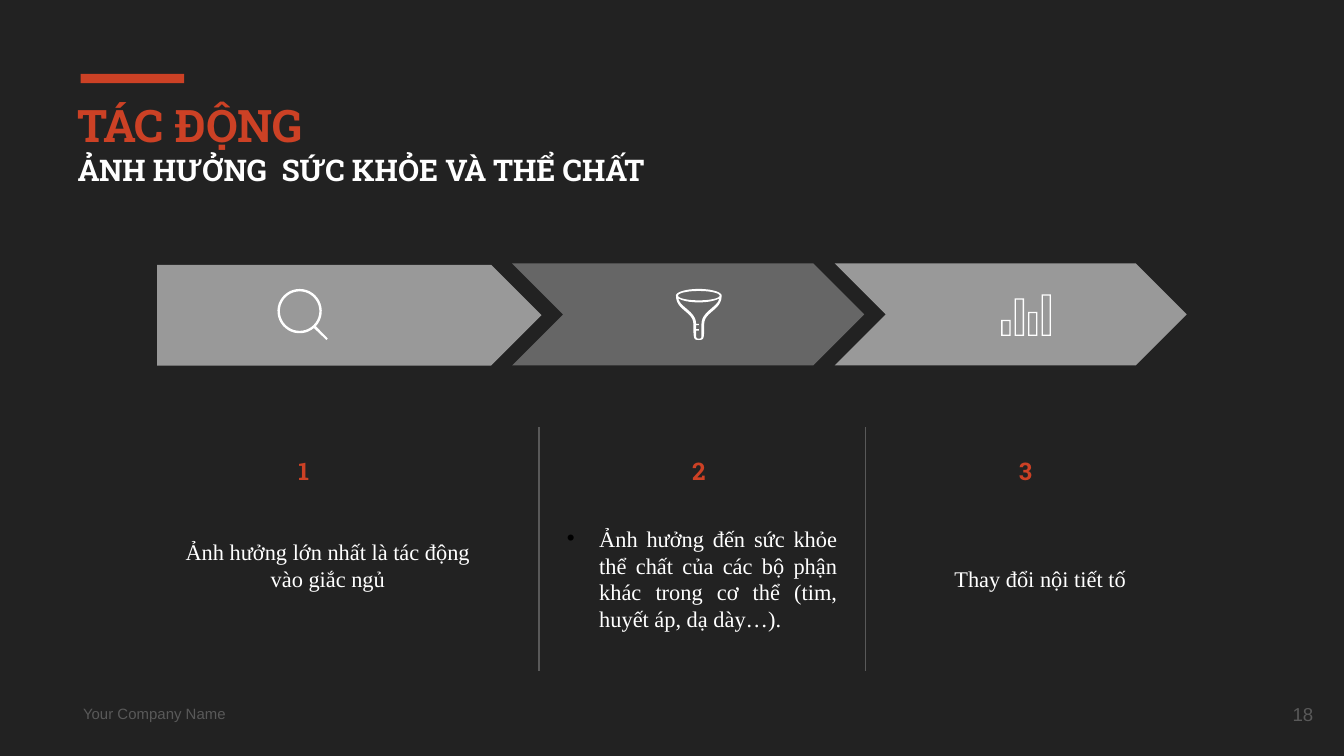
from math import cos, radians, sin

from lxml import etree
from pptx import Presentation
from pptx.dml.color import RGBColor
from pptx.enum.shapes import MSO_CONNECTOR as Connector, MSO_SHAPE as Shape
from pptx.enum.text import MSO_ANCHOR as Anchor, PP_ALIGN as Align
from pptx.oxml.ns import qn
from pptx.util import Inches, Pt

BACKGROUND, ACCENT, WHITE = "222222", "CC4125", "FFFFFF"
LIGHT_GRAY, MID_GRAY, DARK_GRAY = "999999", "666666", "595959"
HEADING_FONT, BODY_FONT, FOOTER_FONT = "Roboto Slab", "Times New Roman", "Arial"


def color(hex_code):
    return RGBColor.from_string(hex_code)


def paint(shape, fill):
    shape.shadow.inherit = False
    shape.fill.solid()
    shape.fill.fore_color.rgb = color(fill)
    shape.line.fill.background()


def style_run(run, size, font, fill, bold=False):
    run.font.size = Pt(size)
    run.font.name = font
    run.font.bold = bold
    run.font.color.rgb = color(fill)


def add_block(slide, shape_type, box, fill):
    shape = slide.shapes.add_shape(shape_type, *map(Inches, box))
    paint(shape, fill)


def add_frame(slide, box, anchor=Anchor.MIDDLE):
    frame = slide.shapes.add_textbox(*map(Inches, box)).text_frame
    frame.word_wrap = True
    frame.vertical_anchor = anchor
    frame.margin_left = frame.margin_right = Inches(0.1)
    frame.margin_top = frame.margin_bottom = Inches(0.1)
    return frame


def add_text(slide, box, text, size, font, fill, bold=False, align=Align.CENTER):
    frame = add_frame(slide, box)
    frame.text = text
    paragraph = frame.paragraphs[0]
    paragraph.alignment = align
    style_run(paragraph.runs[0], size, font, fill, bold)
    return frame


def add_bullet(paragraph, indent):
    properties = paragraph._p.get_or_add_pPr()
    properties.set("marL", str(Inches(indent)))
    properties.set("indent", str(-Inches(indent)))
    bullet_color = etree.SubElement(properties, qn("a:buClr"))
    etree.SubElement(bullet_color, qn("a:srgbClr")).set("val", "000000")
    etree.SubElement(properties, qn("a:buFont")).set("typeface", FOOTER_FONT)
    etree.SubElement(properties, qn("a:buChar")).set("char", "•")


def add_divider(slide, x, top, bottom):
    line = slide.shapes.add_connector(
        Connector.STRAIGHT, Inches(x), Inches(top), Inches(x), Inches(bottom))
    line.line.color.rgb = color(DARK_GRAY)
    line.line.width = Pt(0.75)
    etree.SubElement(line._element.spPr, qn("a:effectLst"))


def arc(center, radii, start=0, end=360, steps=40):
    angles = [radians(start + (end - start) * i / steps) for i in range(steps + 1)]
    return [(center[0] + radii[0] * cos(a), center[1] + radii[1] * sin(a)) for a in angles]


def bezier(p0, p1, p2, p3, steps=12):
    points = []
    for i in range(steps + 1):
        t = i / steps
        weights = ((1 - t) ** 3, 3 * t * (1 - t) ** 2, 3 * t * t * (1 - t), t ** 3)
        points.append(tuple(sum(w * p[axis] for w, p in zip(weights, (p0, p1, p2, p3)))
                            for axis in (0, 1)))
    return points


def rectangle(left, top, right, bottom):
    return [(left, top), (right, top), (right, bottom), (left, bottom)]


def mirrored(points, axis):
    return [(2 * axis - x, y) for x, y in reversed(points)]


def magnifier_contours():
    center = (0.16, 0.165)
    outer = arc(center, (0.165, 0.165), 50, 403) + [(0.37, 0.37), (0.36, 0.38)]
    return [outer, arc(center, (0.147, 0.147))]


def funnel_contours():
    axis = 0.17
    rim = (axis, 0.05)
    side = bezier((0.34, 0.05), (0.34, 0.16), (0.21, 0.17), (0.21, 0.26))
    side += bezier((0.21, 0.26), (0.21, 0.37), (0.21, 0.38), (axis, 0.38))
    inner = bezier((0.32, 0.08), (0.3, 0.14), (0.19, 0.17), (0.19, 0.26))
    inner += [(0.19, 0.36), (0.18, 0.37)]
    stem_marks = [(x, y + rise) for y in (0.31, 0.27)
                  for x, rise in ((0.15, 0), (0.17, 0), (0.17, -0.01), (0.15, -0.01))]
    left_side = mirrored(inner, axis)
    return [
        arc(rim, (0.17, 0.05), 180, 360) + side + mirrored(side, axis),
        arc(rim, (0.155, 0.035)),
        arc(rim, (0.165, 0.05), 155, 25) + inner + left_side[:2] + stem_marks + left_side[2:],
    ]


def bars_contours():
    contours = []
    for i, top in enumerate((0.19, 0.03, 0.13, 0)):
        left = 0.1 * i
        edge = 0.01
        contours.append(rectangle(left, top, left + 0.07, 0.31))
        contours.append(rectangle(left + edge, top + edge, left + 0.07 - edge, 0.31 - edge))
    return contours


def add_icon(slide, left, top, contours):
    """Fill the contours as one shape; inner contours become holes."""
    placed = [[(Inches(left + x), Inches(top + y)) for x, y in contour]
              for contour in contours]
    builder = slide.shapes.build_freeform(*placed[0][0], scale=1.0)
    for i, contour in enumerate(placed):
        if i:
            builder.move_to(*contour[0])
        builder.add_line_segments(contour[1:], close=True)
    paint(builder.convert_to_shape(), WHITE)


def add_title(slide, left, top, width, height):
    add_block(slide, Shape.RECTANGLE, (left + 0.12, top - 0.08, 0.77, 0.07), ACCENT)
    frame = add_frame(slide, (left, top, width, height), Anchor.TOP)
    paragraph = frame.paragraphs[0]
    paragraph.text = "TÁC ĐỘNG"
    paragraph.add_line_break()
    paragraph.add_run().text = "ẢNH HƯỞNG  SỨC KHỎE VÀ THỂ CHẤT"
    heading, subtitle = paragraph.runs
    style_run(heading, 24, HEADING_FONT, ACCENT, True)
    style_run(subtitle, 16, HEADING_FONT, WHITE, True)


def add_arrows(slide, left, top, height):
    add_block(slide, Shape.PENTAGON, (left, top + 0.01, 2.86, height - 0.01), LIGHT_GRAY)
    for offset, fill in ((2.64, MID_GRAY), (5.04, LIGHT_GRAY)):
        add_block(slide, Shape.CHEVRON, (left + offset, top, 2.62, height), fill)
    add_icon(slide, left + 0.9, top + 0.19, magnifier_contours())
    add_icon(slide, left + 3.86, top + 0.19, funnel_contours())
    add_icon(slide, left + 6.28, top + 0.23, bars_contours())


def add_step(slide, number, number_left, left, top, width, text):
    add_text(slide, (number_left, top, 1.96, 0.19), str(number), 13, HEADING_FONT, ACCENT, True)
    return add_text(slide, (left, top + 0.42, width, 0.95), text, 12, BODY_FONT, WHITE)


def add_steps(slide, left, top):
    first = add_step(slide, 1, left, left, top, 2.32,
                     "Ảnh hưởng lớn nhất là tác động vào giắc ngủ")
    first.margin_bottom = Inches(0.3)
    second = add_step(slide, 2, left + 2.94, left + 2.84, top, 2.21,
                      "Ảnh hưởng đến sức khỏe thể chất của các bộ phận khác "
                      "trong cơ thể (tim, huyết áp, dạ dày…).")
    second.paragraphs[0].alignment = Align.JUSTIFY
    add_bullet(second.paragraphs[0], 0.24)
    add_step(slide, 3, left + 5.37, left + 5.37, top, 2.18, "Thay đổi nội tiết tố")
    for offset in (2.73, 5.16):
        add_divider(slide, left + offset, top - 0.23, top + 1.58)


def add_footer(slide):
    add_text(slide, (0.52, 5.18, 1.67, 0.26), "Your Company Name", 8, FOOTER_FONT,
             DARK_GRAY, align=Align.LEFT)
    add_text(slide, (9.27, 5.1, 0.6, 0.43), "18", 10, FOOTER_FONT, DARK_GRAY,
             align=Align.RIGHT)


def main():
    presentation = Presentation()
    presentation.slide_width = Inches(10)
    presentation.slide_height = presentation.slide_width * 9 // 16
    slide = presentation.slides.add_slide(presentation.slide_layouts[6])
    slide.background.fill.solid()
    slide.background.fill.fore_color.rgb = color(BACKGROUND)
    add_title(slide, 0.48, 0.63, 7.34, 1.16)
    add_arrows(slide, 1.17, 1.96, 0.76)
    add_steps(slide, 1.28, 3.41)
    add_footer(slide)
    presentation.save("out.pptx")


if __name__ == "__main__":
    main()
